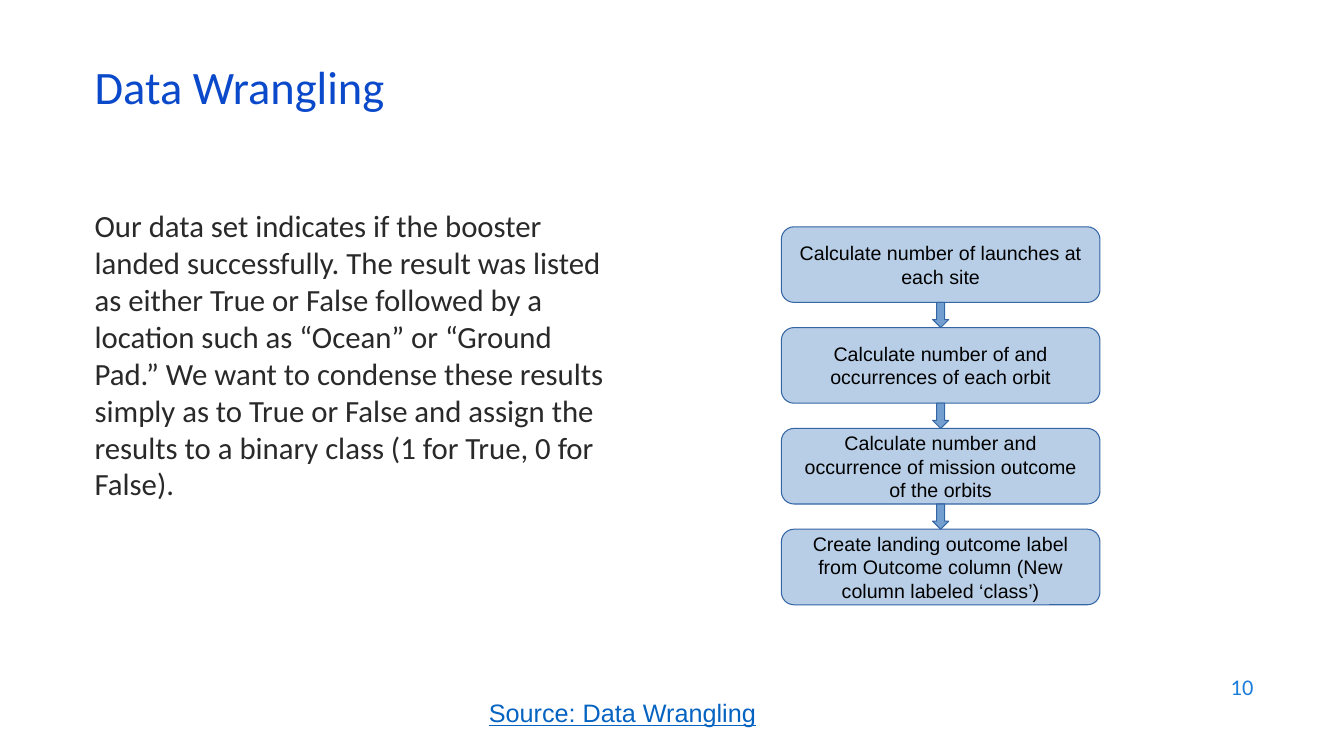
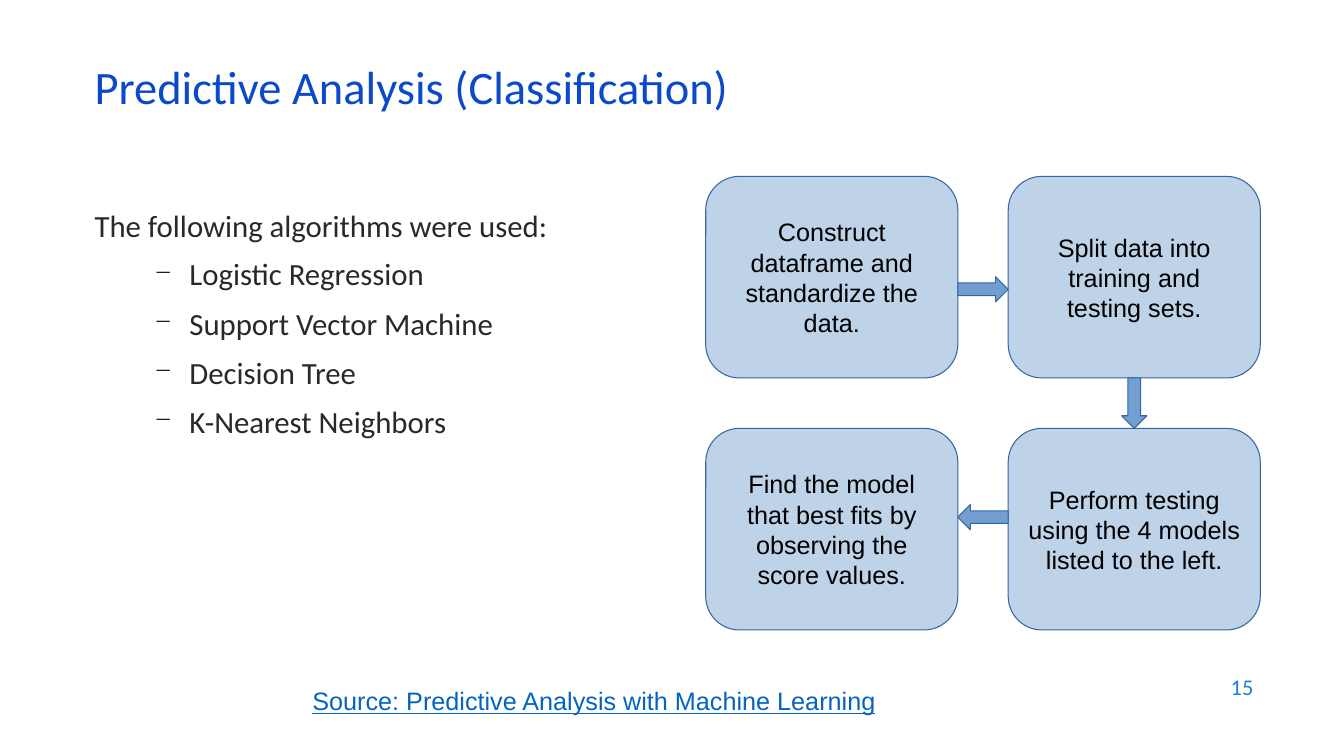
from dataclasses import dataclass

from lxml.etree import SubElement
from pptx import Presentation
from pptx.dml.color import RGBColor
from pptx.enum.shapes import MSO_SHAPE
from pptx.enum.text import MSO_ANCHOR, PP_ALIGN
from pptx.oxml.ns import qn
from pptx.util import Inches, Pt


@dataclass(frozen=True)
class Theme:
    title_color: str = "0B49CB"
    body_color: str = "292929"
    link_color: str = "0563C1"
    number_color: str = "1C7DDB"
    step_color: str = "729FCF"
    edge_color: str = "3465A4"
    black: str = "000000"
    heading_font: str = "Calibri"
    shape_font: str = "Arial"
    title_size: float = 33.2
    body_size: float = 22
    link_size: float = 18
    number_size: float = 16


THEME = Theme()

SLIDES = [
    {
        "title": "Data Wrangling",
        "number": "10",
        "body": "Our data set indicates if the booster landed successfully. The result was listed "
                "as either True or False followed by a location such as “Ocean” or “Ground Pad.” "
                "We want to condense these results simply as to True or False and assign the "
                "results to a binary class (1 for True, 0 for False).",
        "bullets": [],
        "link": ("Source: Data Wrangling", 4.75, 6.87, 3.25),
        "flow": {
            "origin": (7.75, 2.25), "step": (3.16, 0.75), "gap": (0, 0.25),
            "text_size": 14, "opacity": 50, "arrow_width": 0.16,
            "steps": [
                (0, 0, "Calculate number of launches at each site"),
                (0, 1, "Calculate number of and occurrences of each orbit"),
                (0, 2, "Calculate number and occurrence of mission outcome of the orbits"),
                (0, 3, "Create landing outcome label from Outcome column (New column labeled ‘class’)"),
            ],
            "arrow_shifts": [0, 0, 0],
        },
    },
    {
        "title": "Predictive Analysis (Classification)",
        "number": "15",
        "body": "The following algorithms were used:",
        "bullets": ["Logistic Regression", "Support Vector Machine", "Decision Tree", "K-Nearest Neighbors"],
        "link": ("Source: Predictive Analysis with Machine Learning", 3, 6.75, 6.25),
        "flow": {
            "origin": (7, 1.75), "step": (2.5, 2), "gap": (0.5, 0.5),
            "text_size": 18, "opacity": 46, "arrow_width": 0.25,
            "steps": [
                (0, 0, "Construct dataframe and standardize the data."),
                (1, 0, "Split data into training and testing sets."),
                (1, 1, "Perform testing using the 4 models listed to the left."),
                (0, 1, "Find the model that best fits by observing the score values."),
            ],
            "arrow_shifts": [0.12, 0, -0.12],
        },
    },
]

ARROWS = {(1, 0): MSO_SHAPE.RIGHT_ARROW, (-1, 0): MSO_SHAPE.LEFT_ARROW, (0, 1): MSO_SHAPE.DOWN_ARROW}


def style_paragraph(para, size, color, font, align=PP_ALIGN.LEFT):
    para.alignment = align
    for span in para.runs:
        span.font.size = Pt(size)
        span.font.name = font
        span.font.color.rgb = RGBColor.from_string(color)


def add_text(page, text, place, size, color, font, align=PP_ALIGN.LEFT, anchor=MSO_ANCHOR.TOP):
    box = page.shapes.add_textbox(*(Inches(value) for value in place))
    frame = box.text_frame
    frame.word_wrap = True
    frame.vertical_anchor = anchor
    frame.text = text
    style_paragraph(frame.paragraphs[0], size, color, font, align)
    return frame


def add_bullet(frame, text):
    para = frame.add_paragraph()
    para.text = text
    para.level = 1
    properties = para._p.get_or_add_pPr()
    properties.set("marL", str(Inches(0.94)))
    properties.set("indent", str(Inches(-0.35)))
    para.line_spacing = 0.9
    para.space_before = Pt(11.3)
    SubElement(SubElement(properties, qn("a:buClr")), qn("a:srgbClr"), val=THEME.black)
    SubElement(properties, qn("a:buSzPct"), val="75000")
    SubElement(properties, qn("a:buChar"), char="−")
    style_paragraph(para, THEME.body_size, THEME.body_color, THEME.heading_font)


def add_filled_shape(page, kind, place, opacity=100):
    shape = page.shapes.add_shape(kind, *(Inches(value) for value in place))
    shape.shadow.inherit = False
    shape.fill.solid()
    shape.fill.fore_color.rgb = RGBColor.from_string(THEME.step_color)
    if opacity < 100:
        color = shape.fill._xPr.find(qn("a:solidFill")).find(qn("a:srgbClr"))
        SubElement(color, qn("a:alpha"), val=str(opacity * 1000))
    shape.line.color.rgb = RGBColor.from_string(THEME.edge_color)
    shape.line.width = Pt(0)
    return shape


def add_flow(page, flow):
    left, top = flow["origin"]
    width, height = flow["step"]
    gap_x, gap_y = flow["gap"]
    thick = flow["arrow_width"]
    steps = flow["steps"]
    corners = [(left + column * (width + gap_x), top + row * (height + gap_y)) for column, row, _ in steps]

    for (x, y), (_, _, text) in zip(corners, steps):
        place = (x, y, width, height)
        step = add_filled_shape(page, MSO_SHAPE.FLOWCHART_ALTERNATE_PROCESS, place, flow["opacity"])
        frame = step.text_frame
        frame.word_wrap = True
        frame.vertical_anchor = MSO_ANCHOR.MIDDLE
        frame.text = text
        style_paragraph(frame.paragraphs[0], flow["text_size"], THEME.black, THEME.shape_font, PP_ALIGN.CENTER)

    for index, shift in enumerate(flow["arrow_shifts"]):
        (column, row, _), (next_column, next_row, _) = steps[index:index + 2]
        (x, y), (next_x, next_y) = corners[index:index + 2]
        direction = (next_column - column, next_row - row)
        if direction[0]:
            place = (min(x, next_x) + width, y + (height - thick) / 2 + shift, gap_x, thick)
        else:
            place = (x + (width - thick) / 2 + shift, min(y, next_y) + height, thick, gap_y)
        add_filled_shape(page, ARROWS[direction], place)


def add_page(deck, content):
    page = deck.slides.add_slide(deck.slide_layouts[6])
    title = add_text(page, content["title"], (0.84, 0.59, 11.5, 0.6), THEME.title_size,
                     THEME.title_color, THEME.heading_font, anchor=MSO_ANCHOR.MIDDLE)
    title.paragraphs[0].line_spacing = 0.9
    body = add_text(page, content["body"], (0.84, 2, 5.41, 3.75), THEME.body_size,
                    THEME.body_color, THEME.heading_font)
    for text in content["bullets"]:
        add_bullet(body, text)
    add_flow(page, content["flow"])
    text, left, top, width = content["link"]
    link = add_text(page, text, (left, top, width, 0.38), THEME.link_size, THEME.link_color, THEME.shape_font)
    link.paragraphs[0].runs[0].font.underline = True
    add_text(page, content["number"], (9.53, 6.59, 3, 0.44), THEME.number_size, THEME.number_color,
             THEME.heading_font, PP_ALIGN.RIGHT, MSO_ANCHOR.MIDDLE)


def main():
    deck = Presentation()
    deck.slide_width = Inches(13.33)
    deck.slide_height = Inches(7.5)
    for content in SLIDES:
        add_page(deck, content)
    deck.save("out.pptx")


if __name__ == "__main__":
    main()
